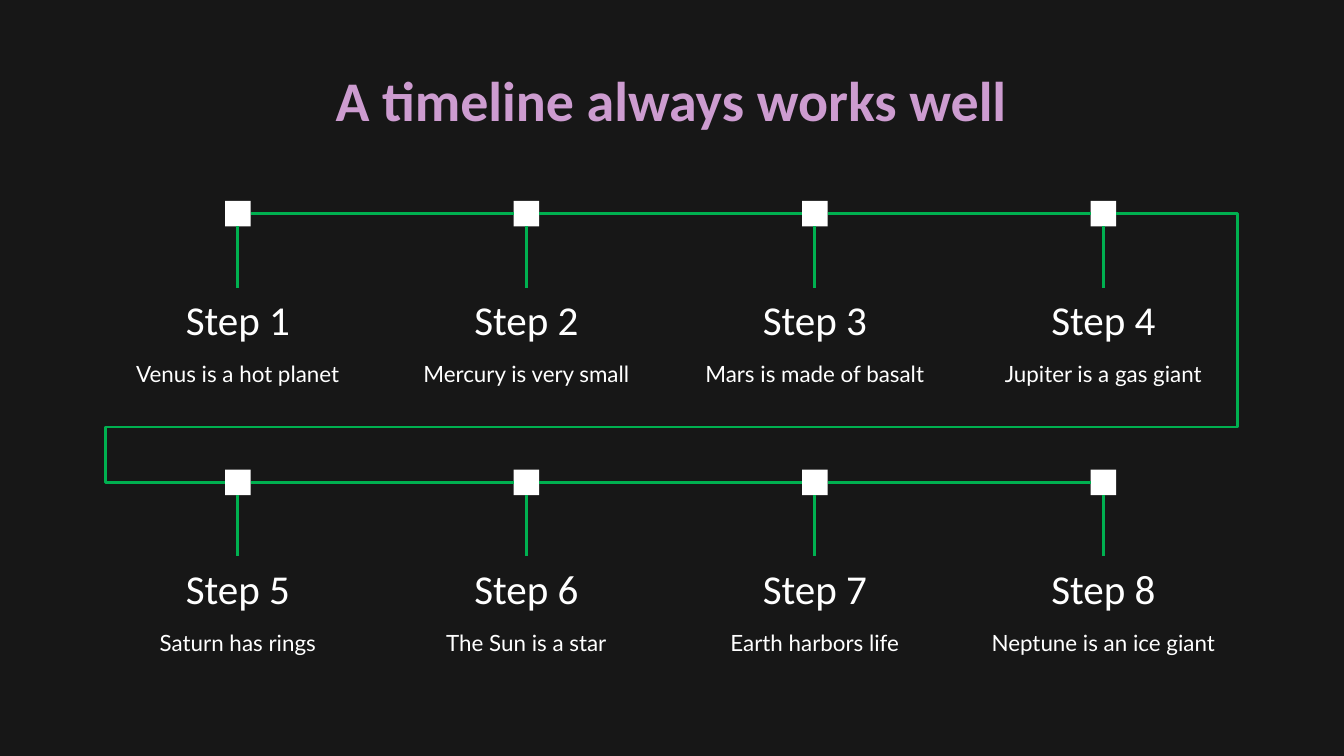
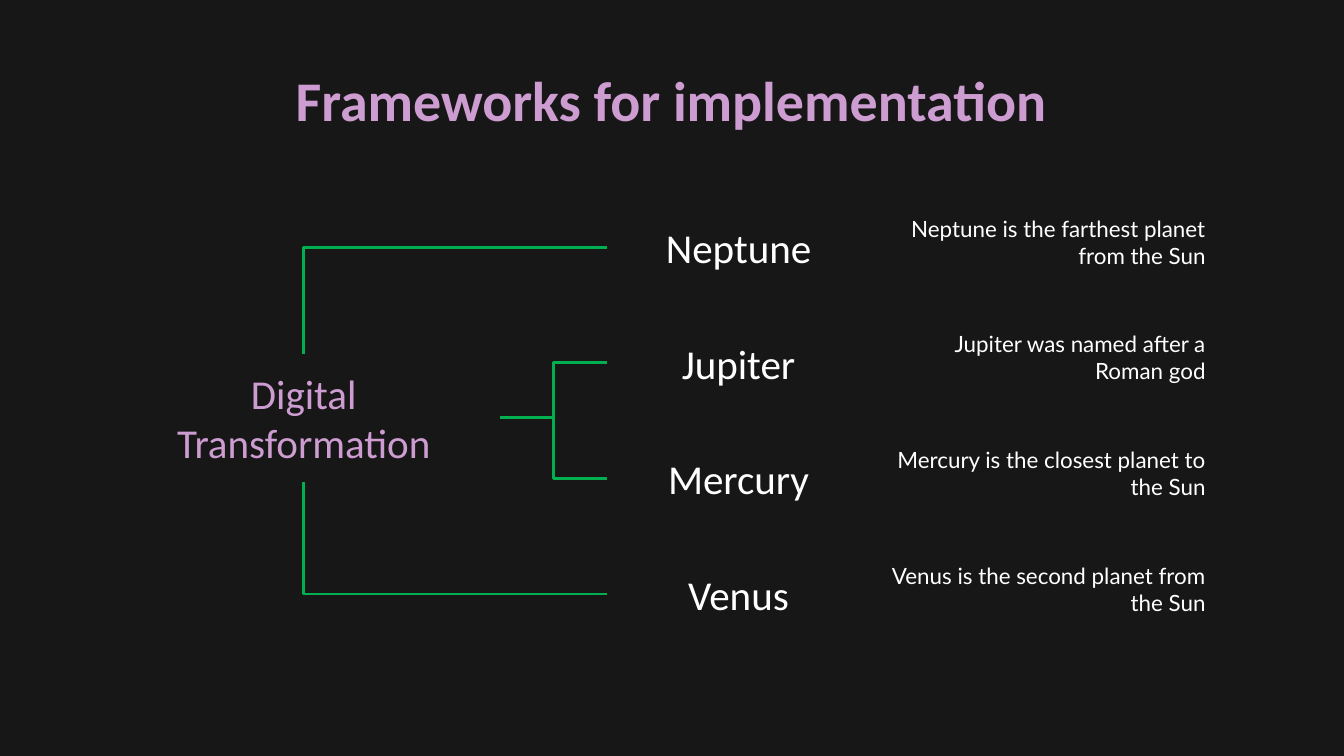
from typing import NamedTuple

from lxml.etree import SubElement
from pptx import Presentation
from pptx.dml.color import RGBColor
from pptx.enum.shapes import MSO_CONNECTOR, MSO_SHAPE
from pptx.enum.text import MSO_ANCHOR, MSO_AUTO_SIZE, PP_ALIGN
from pptx.oxml.ns import qn
from pptx.shapes.connector import Connector
from pptx.slide import Slide
from pptx.text.text import Font
from pptx.util import Inches, Pt

COLORS = {
    "back": "171717",
    "text": "FFFFFF",
    "line": "00B050",
    "pink": "CD9CD0",
    "blue": "9CCAED",
}
HEAD, BODY = "Calibri", "Lato"
MARK = 0.19


class Box(NamedTuple):
    left: float
    top: float
    width: float
    height: float


class Point(NamedTuple):
    x: float
    y: float


class Style(NamedTuple):
    font: str
    size: int
    align: PP_ALIGN = PP_ALIGN.CENTER
    anchor: MSO_ANCHOR = MSO_ANCHOR.TOP
    bold: bool = False
    fade: bool = False


class Step(NamedTuple):
    name: str
    note: str


class Planet(NamedTuple):
    name: str
    fact: str


TITLE = Style(HEAD, 30, bold=True, fade=True)
STEP = Style(HEAD, 22, anchor=MSO_ANCHOR.BOTTOM)
NOTE = Style(BODY, 12)
TOPIC = Style(HEAD, 22, anchor=MSO_ANCHOR.MIDDLE, fade=True)
PLANET = Style(HEAD, 22, anchor=MSO_ANCHOR.MIDDLE)
FACT = Style(BODY, 12, align=PP_ALIGN.RIGHT)

STEPS = [
    [
        Step("Step 1", "Venus is a hot planet"),
        Step("Step 2", "Mercury is very small"),
        Step("Step 3", "Mars is made of basalt"),
        Step("Step 4", "Jupiter is a gas giant"),
    ],
    [
        Step("Step 5", "Saturn has rings"),
        Step("Step 6", "The Sun is a star"),
        Step("Step 7", "Earth harbors life"),
        Step("Step 8", "Neptune is an ice giant"),
    ],
]
PLANETS = [
    Planet("Neptune", "Neptune is the farthest planet from the Sun"),
    Planet("Jupiter", "Jupiter was named after a Roman god"),
    Planet("Mercury", "Mercury is the closest planet to the Sun"),
    Planet("Venus", "Venus is the second planet from the Sun"),
]


def color(name: str) -> RGBColor:
    return RGBColor.from_string(COLORS[name])


def paint(font: Font, fade: bool) -> None:
    """Colour text white, or with the pink to blue gradient."""
    if not fade:
        font.color.rgb = color("text")
        return
    font.fill.gradient()
    font.fill.gradient_angle = 0
    for stop, name in zip(font.fill.gradient_stops, ("pink", "blue")):
        stop.color.rgb = color(name)


def fill_text(shape, text: str, style: Style) -> None:
    frame = shape.text_frame
    frame.text = text
    frame.word_wrap = True
    frame.auto_size = MSO_AUTO_SIZE.NONE
    frame.vertical_anchor = style.anchor
    frame.margin_left = frame.margin_right = Inches(0.1)
    frame.margin_top = frame.margin_bottom = Inches(0.1)
    for part in frame.paragraphs:
        part.alignment = style.align
        for run in part.runs:
            run.font.name = style.font
            run.font.size = Pt(style.size)
            run.font.bold = style.bold
            paint(run.font, style.fade)


def add_text(slide: Slide, box: Box, text: str, style: Style) -> None:
    shape = slide.shapes.add_textbox(*map(Inches, box))
    fill_text(shape, text, style)


def add_page(deck, title: str) -> Slide:
    slide = deck.slides.add_slide(deck.slide_layouts.get_by_name("Title Only"))
    shape = slide.shapes.title
    shape.left, shape.top = Inches(0.78), Inches(0.39)
    shape.width, shape.height = Inches(8.43), Inches(0.63)
    fill_text(shape, title, TITLE)
    return slide


def add_line(slide: Slide, start: Point, end: Point,
             kind: MSO_CONNECTOR = MSO_CONNECTOR.STRAIGHT) -> Connector:
    line = slide.shapes.add_connector(kind, *map(Inches, (*start, *end)))
    line.line.color.rgb = color("line")
    line.line.width = Pt(1.5)
    SubElement(line._element.spPr, qn("a:effectLst"))
    return line


def add_bend(slide: Slide, start: Point, end: Point, preset: str,
             *bends: float) -> None:
    """Draw an elbow line; bends are percents of its width or height."""
    line = add_line(slide, start, end, MSO_CONNECTOR.ELBOW)
    shape = line._element.spPr.find(qn("a:prstGeom"))
    shape.set("prst", preset)
    guides = shape.find(qn("a:avLst"))
    if guides is None:
        guides = SubElement(shape, qn("a:avLst"))
    for index, bend in enumerate(bends, 1):
        SubElement(guides, qn("a:gd"), name=f"adj{index}",
                   fmla=f"val {round(bend * 1000)}")


def add_mark(slide: Slide, mid: Point) -> None:
    box = Box(mid.x - MARK / 2, mid.y - MARK / 2, MARK, MARK)
    shape = slide.shapes.add_shape(MSO_SHAPE.RECTANGLE, *map(Inches, box))
    shape.shadow.inherit = False
    shape.fill.solid()
    shape.fill.fore_color.rgb = color("text")
    shape.line.fill.background()


def add_timeline(deck) -> None:
    slide = add_page(deck, "A timeline always works well")
    left, last, width, half = 0.78, 7.22, 1.98, MARK / 2
    pitch = (last - left) / 3
    rows = [1.59, 3.59]
    mids = [left + width / 2 + pitch * col for col in range(4)]
    for y, steps in zip(rows, STEPS):
        for x, step in zip(mids, steps):
            add_mark(slide, Point(x, y))
            add_line(slide, Point(x, y + half), Point(x, y + 0.55))
            edge = x - width / 2
            add_text(slide, Box(edge, y + 0.55, width, 0.52), step.name, STEP)
            add_text(slide, Box(edge, y + 0.99, width, 0.35), step.note, NOTE)
        for x, after in zip(mids, mids[1:]):
            add_line(slide, Point(x + half, y), Point(after - half, y))
    add_bend(slide, Point(mids[-1] + half, rows[0]),
             Point(mids[0] - half, rows[1]),
             "bentConnector5", -13.6, 79.4, 113.4)


def add_frameworks(deck) -> None:
    slide = add_page(deck, "Frameworks for implementation")
    topic = Box(0.8, 2.63, 2.92, 0.96)
    top, pitch, height, left = 1.5, 0.86, 0.68, 4.52
    for row, planet in enumerate(PLANETS):
        y = top + pitch * row
        add_text(slide, Box(6.47, y, 2.6, height), planet.fact, FACT)
        add_text(slide, Box(left, y, 1.95, height), planet.name, PLANET)
    add_text(slide, topic, "Digital Transformation", TOPIC)

    ends = [Point(left, top + height / 2 + pitch * row) for row in range(4)]
    mid = topic.left + topic.width / 2
    side = Point(topic.left + topic.width, topic.top + topic.height / 2)
    add_bend(slide, ends[0], Point(mid, topic.top), "bentConnector2")
    for end in ends[1:3]:
        add_bend(slide, side, end, "bentConnector3", 50)
    add_bend(slide, ends[3], Point(mid, topic.top + topic.height),
             "bentConnector2")


def main() -> None:
    deck = Presentation()
    deck.slide_width = Inches(10)
    deck.slide_height = deck.slide_width * 9 // 16
    back = deck.slide_master.background.fill
    back.solid()
    back.fore_color.rgb = color("back")
    add_timeline(deck)
    add_frameworks(deck)
    deck.save("out.pptx")


if __name__ == "__main__":
    main()
